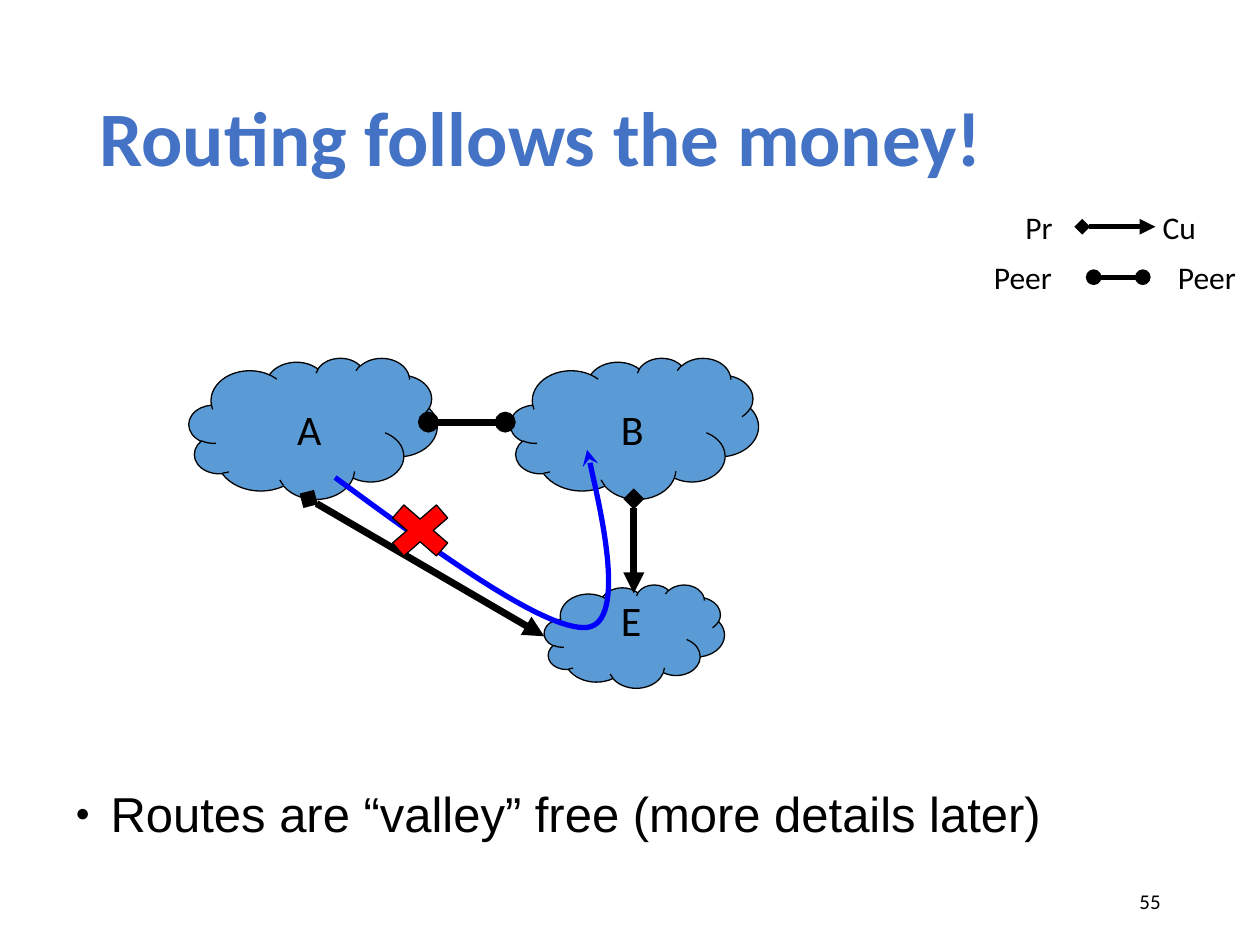
from pptx import Presentation
from pptx.dml.color import RGBColor
from pptx.enum import shapes, text
from pptx.oxml import parse_xml
from pptx.oxml.ns import nsdecls, qn
from pptx.util import Inches, Pt

BLACK = RGBColor(0x00, 0x00, 0x00)
TITLE_BLUE = RGBColor(0x44, 0x72, 0xC4)
CLOUD_BLUE = RGBColor(0x5B, 0x9B, 0xD5)
ROUTE_BLUE = RGBColor(0x00, 0x00, 0xFF)
RED = RGBColor(0xFF, 0x00, 0x00)

prs = Presentation()
prs.slide_width, prs.slide_height = Inches(10), Inches(7.5)
slide = prs.slides.add_slide(prs.slide_layouts[5])


def element(tag, attributes="", children=""):
    return parse_xml(f"<a:{tag} {nsdecls('a')} {attributes}>{children}</a:{tag}>")


def add_text(words, left, top, width, height, *, size=24, font="Calibri",
             align=text.PP_ALIGN.LEFT, anchor=text.MSO_ANCHOR.TOP, wrap=False, bullet=False):
    box = slide.shapes.add_textbox(Inches(left), Inches(top), Inches(width), Inches(height))
    frame = box.text_frame
    frame.word_wrap = wrap
    frame.vertical_anchor = anchor
    line = frame.paragraphs[0]
    line.text = words
    line.alignment = align
    if bullet:
        properties = line._p.get_or_add_pPr()
        properties.set("marL", str(Inches(0.28)))
        properties.set("indent", str(Inches(-0.28)))
        properties.append(element("buClr", children=f'<a:srgbClr val="{BLACK}"/>'))
        properties.append(element("buSzPct", 'val="50000"'))
        properties.append(element("buFont", 'typeface="Arial"'))
        properties.append(element("buChar", 'char="●"'))
    line.font.size = Pt(size)
    line.font.name = font
    line.font.color.rgb = BLACK


# Title
title = slide.shapes.title
title.left, title.top, title.width, title.height = (Inches(n) for n in (0.69, 0.4, 8.62, 1.45))
title.text_frame.text = "Routing follows the money!"
title.text_frame.vertical_anchor = text.MSO_ANCHOR.MIDDLE
heading = title.text_frame.paragraphs[0]
heading.alignment = text.PP_ALIGN.LEFT
heading.line_spacing = 0.9
heading.font.size = Pt(44)
heading.font.name = "Calibri"
heading.font.bold = True
heading.font.color.rgb = TITLE_BLUE

# Networks E, B and A
for left, top, width, height in [
    (4.32, 4.64, 1.43, 0.82),
    (4.05, 2.84, 1.97, 1.12),
    (1.5, 2.84, 1.97, 1.12),
]:
    cloud = slide.shapes.add_shape(shapes.MSO_SHAPE.CLOUD, Inches(left), Inches(top),
                                   Inches(width), Inches(height))
    cloud.shadow.inherit = False
    cloud.fill.solid()
    cloud.fill.fore_color.rgb = CLOUD_BLUE
    cloud.line.color.rgb = BLACK
    cloud.line.width = Pt(0.75)

# Relationships between networks, then the two of the legend
PEERS = ("oval", "oval")
PROVIDER_CUSTOMER = ("diamond", "triangle")
for x1, y1, x2, y2, weight, (head, tail) in [
    (3.4, 3.35, 4.01, 3.35, 4, PEERS),
    (2.45, 3.96, 4.32, 5.05, 4, PROVIDER_CUSTOMER),
    (5.03, 3.96, 5.03, 4.71, 4, PROVIDER_CUSTOMER),
    (8.59, 1.8, 9.17, 1.8, 3, PROVIDER_CUSTOMER),
    (8.68, 2.2, 9.07, 2.2, 3, PEERS),
]:
    relation = slide.shapes.add_connector(shapes.MSO_CONNECTOR.STRAIGHT, Inches(x1), Inches(y1),
                                          Inches(x2), Inches(y2))
    relation.line.color.rgb = BLACK
    relation.line.width = Pt(weight)
    outline = relation.line._get_or_add_ln()
    outline.append(element("headEnd", f'type="{head}"'))
    outline.append(element("tailEnd", f'type="{tail}"'))
    relation._element.spPr.append(element("effectLst"))

for name, left, top, width in [("A", 2.26, 3.15, 0.39), ("B", 4.83, 3.15, 0.37),
                               ("E", 4.83, 4.67, 0.37)]:
    add_text(name, left, top, width, 0.37)

for role, left, top, width in [("Pr", 8.04, 1.6, 0.47), ("Cu", 9.13, 1.6, 0.54),
                               ("Peer", 7.79, 2, 0.75), ("Peer", 9.25, 2, 0.75)]:
    add_text(role, left, top, width, 0.4, size=18)

add_text("Routes are “valley” free (more details later)", 0.5, 6.17, 9, 1.17,
         size=28, font="Arial", wrap=True, bullet=True)

# Forbidden route from A through E to B: two Bézier curves
builder = slide.shapes.build_freeform(Inches(2.66), Inches(3.79))
builder.add_line_segments(
    [(Inches(x), Inches(y)) for x, y in [(3.49, 4.4), (4.33, 5.01), (4.66, 4.98),
                                         (4.99, 4.94), (4.66, 3.57), (4.66, 3.57)]],
    close=False)
route = builder.convert_to_shape()
# The freeform builder only draws straight segments, so each three become one curve
segments = list(route._element.iter(qn("a:lnTo")))
for start in range(0, len(segments), 3):
    curve = element("cubicBezTo")
    segments[start].addprevious(curve)
    for segment in segments[start:start + 3]:
        curve.append(segment[0])
        segment.getparent().remove(segment)
route.shadow.inherit = False
route.fill.background()
route.line.color.rgb = ROUTE_BLUE
route.line.width = Pt(3)
route.line._get_or_add_ln().append(element("tailEnd", 'type="stealth"'))

cross = slide.shapes.add_shape(shapes.MSO_SHAPE.MATH_MULTIPLY, Inches(3), Inches(3.92),
                               Inches(0.67), Inches(0.58))
cross.shadow.inherit = False
cross.fill.solid()
cross.fill.fore_color.rgb = RED
cross.line.color.rgb = BLACK
cross.line.width = Pt(0.75)

add_text("55", 7.06, 6.95, 2.25, 0.4, size=12, align=text.PP_ALIGN.RIGHT,
         anchor=text.MSO_ANCHOR.MIDDLE, wrap=True)

prs.save("out.pptx")
